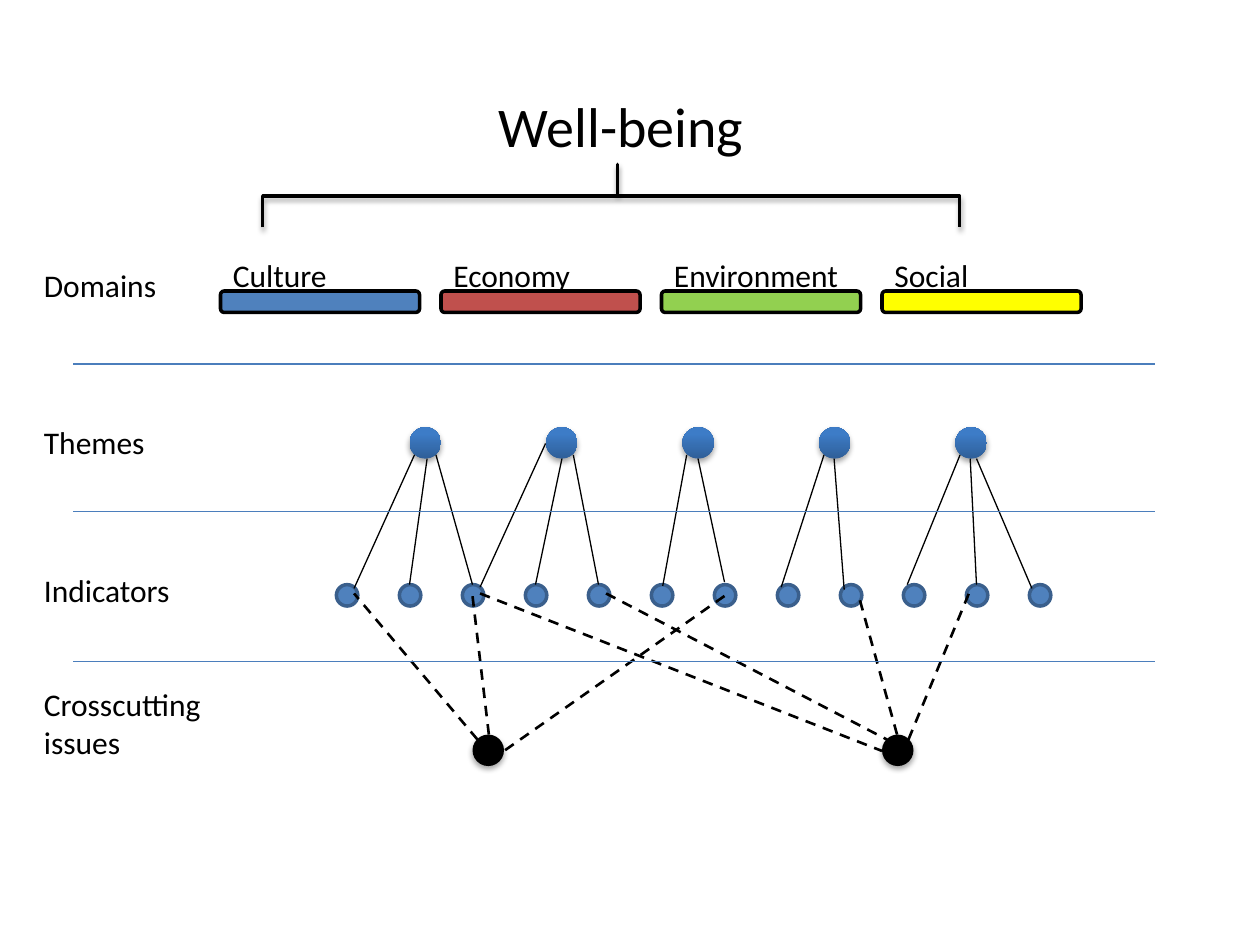
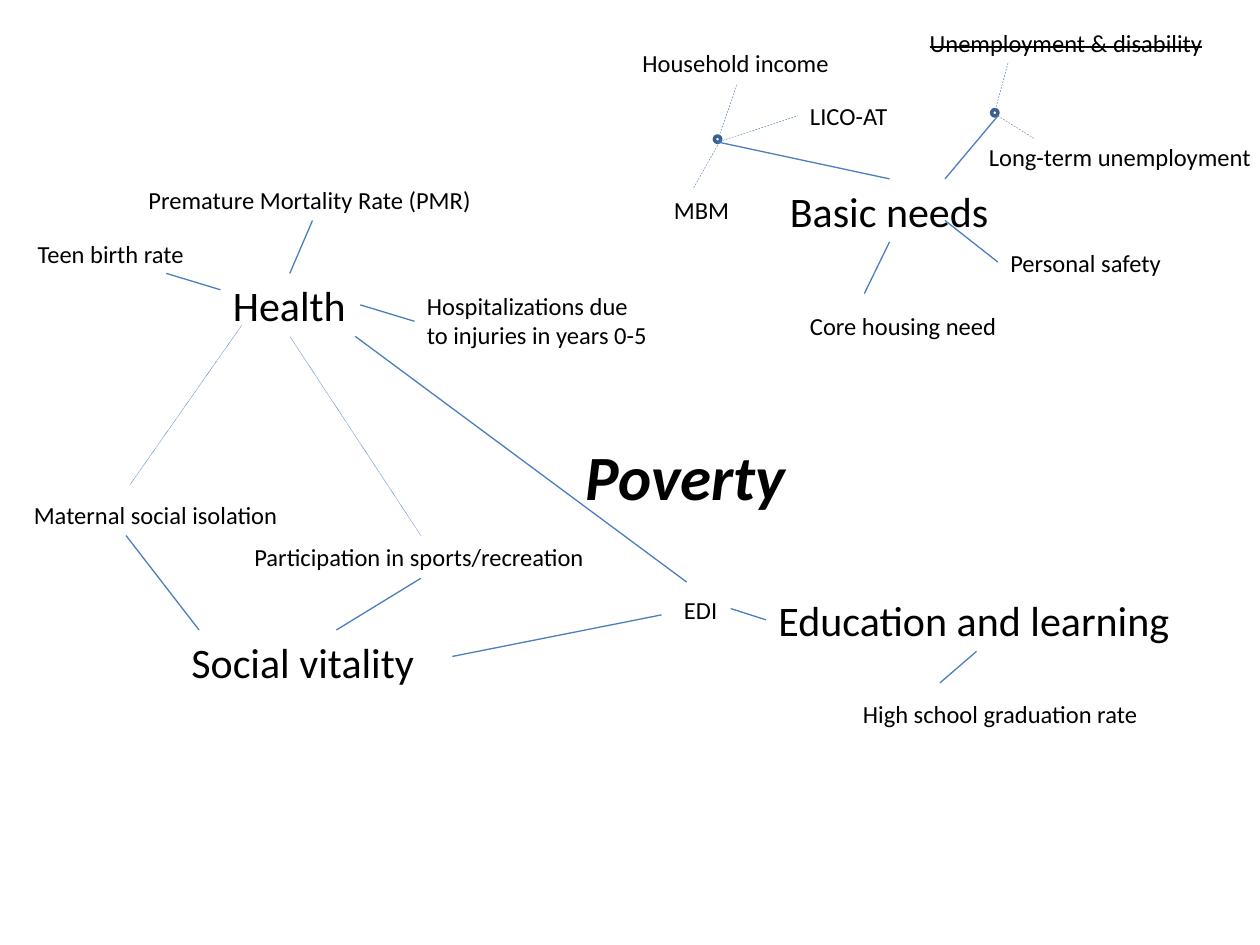
"""Build two slides: a well-being indicator framework and a poverty indicator map."""
from lxml import etree
from pptx import Presentation
from pptx import util as u
from pptx.dml import color
from pptx.enum import dml, shapes, text
from pptx.oxml import ns

BLACK = color.RGBColor(0x00, 0x00, 0x00)
BLUE = color.RGBColor(0x4F, 0x81, 0xBD)
RED = color.RGBColor(0xC0, 0x50, 0x4D)
GREEN = color.RGBColor(0x92, 0xD0, 0x50)
YELLOW = color.RGBColor(0xFF, 0xFF, 0x00)
LINK_BLUE = color.RGBColor(0x4B, 0x7E, 0xBC)
RIM_BLUE = color.RGBColor(0x3A, 0x5F, 0x8C)
DEEP_BLUE = color.RGBColor(0x2F, 0x5F, 0x99)
BRIGHT_BLUE = color.RGBColor(0x3D, 0x7C, 0xC7)
FONT = "Calibri"
GRID = 2.54
DASH = dml.MSO_LINE.DASH
DOT = dml.MSO_LINE.ROUND_DOT
OVAL = shapes.MSO_SHAPE.OVAL


def add_text(page, words, left, top, width, size):
    """Add an unwrapped text box, positioned in grid units, and return its frame."""
    height = 0.1 + len(words.split("\n")) * size * 1.22 / 72
    box = page.shapes.add_textbox(*[u.Cm(GRID * n) for n in (left, top, width, height)])
    frame = box.text_frame
    frame.text = words
    frame.word_wrap = False
    frame.auto_size = text.MSO_AUTO_SIZE.SHAPE_TO_FIT_TEXT
    for para in frame.paragraphs:
        para.font.name = FONT
        para.font.size = u.Pt(size)
        para.font.color.rgb = BLACK
    return frame


def add_line(page, ends, tint, weight=0.75, dash=None):
    """Add a straight line between two points in grid units."""
    line = page.shapes.add_connector(
        shapes.MSO_CONNECTOR.STRAIGHT, *[u.Cm(GRID * n) for n in ends])
    line.line.color.rgb = tint
    line.line.width = u.Pt(weight)
    if dash:
        line.line.dash_style = dash
    etree.SubElement(line._element.spPr, ns.qn("a:effectLst"))


deck = Presentation()
deck.slide_width, deck.slide_height = u.Cm(25.4), u.Cm(19.05)
framework = deck.slides.add_slide(deck.slide_layouts[6])
poverty = deck.slides.add_slide(deck.slide_layouts[6])

indicators = [(framework, 2.67 + 0.5 * i, 4.64, 0.17) for i in range(12)]
hubs = [(poverty, 5.67, 1.08, 0.05), (poverty, 7.87, 0.87, 0.05)]
for page, left, top, size in indicators + hubs:
    dot = page.shapes.add_shape(OVAL, *[u.Cm(GRID * n) for n in (left, top, size, size)])
    dot.shadow.inherit = False
    dot.line.color.rgb = RIM_BLUE
    dot.line.width = u.Pt(2)
    if page is framework:
        dot.fill.solid()
        dot.fill.fore_color.rgb = BLUE
    else:
        dot.fill.background()

raised = []
themes = [(3.25 + 1.083 * i, 3.39) for i in range(5)]
issues = [(3.75, 5.83), (7, 5.83)]
for left, top in themes + issues:
    ball = framework.shapes.add_shape(
        OVAL, *[u.Cm(GRID * n) for n in (left, top, 0.25, 0.25)])
    ball.line.fill.background()
    if (left, top) in themes:
        ball.fill.gradient()
        ball.fill.gradient_angle = 90
        for stop, tint, place in zip(
                ball.fill.gradient_stops, (DEEP_BLUE, BRIGHT_BLUE), (0, 0.8)):
            stop.color.rgb = tint
            stop.position = place
    else:
        ball.fill.solid()
        ball.fill.fore_color.rgb = BLACK
    raised.append(ball)

brace = framework.shapes.add_shape(
    shapes.MSO_SHAPE.LEFT_BRACE, *[u.Cm(GRID * n) for n in (4.6, -1.21, 0.5, 5.53)])
brace.rotation = 90
brace.adjustments[0] = 0
brace.adjustments[1] = 0.491
brace.fill.background()
brace.line.color.rgb = BLACK
brace.line.width = u.Pt(2)
raised.append(brace)

for shape in raised:
    shape.shadow.inherit = False
    effects = shape._element.spPr.find(ns.qn("a:effectLst"))
    shadow = etree.SubElement(effects, ns.qn("a:outerShdw"), blurRad="40000",
                              dist="23000", dir="5400000", rotWithShape="0")
    shade = etree.SubElement(shadow, ns.qn("a:srgbClr"), val="000000")
    etree.SubElement(shade, ns.qn("a:alpha"), val="35000")

for ends in [
    (2.81, 4.67, 3.29, 3.61), (3.25, 4.64, 3.39, 3.64), (3.75, 4.64, 3.46, 3.61),
    (3.81, 4.66, 4.33, 3.52), (4.25, 4.64, 4.46, 3.64), (4.75, 4.64, 4.55, 3.61),
    (5.26, 4.65, 5.45, 3.61), (5.75, 4.62, 5.54, 3.64),
    (6.2, 4.66, 6.54, 3.61), (6.7, 4.68, 6.62, 3.64),
    (7.2, 4.64, 7.62, 3.61), (7.75, 4.64, 7.7, 3.64), (8.19, 4.67, 7.75, 3.64),
]:
    add_line(framework, ends, BLACK)

for ends in [
    (3.88, 5.83, 3.75, 4.73), (3.79, 5.87, 2.81, 4.71), (5.75, 4.73, 4, 5.96),
    (3.81, 4.71, 7, 5.96), (7.21, 5.87, 7.69, 4.71), (7.12, 5.83, 6.81, 4.71),
    (4.81, 4.71, 7.04, 5.87),
]:
    add_line(framework, ends, BLACK, 1.5, DASH)

for height in (2.89, 4.06, 5.25):
    add_line(framework, (0.58, height, 9.17, height), LINK_BLUE)

for i, (name, width, tint) in enumerate([
    ("Culture", 0.96, BLUE), ("Economy", 1.14, RED),
    ("Environment", 1.52, GREEN), ("Social", 0.79, YELLOW),
]):
    left = 1.75 * (i + 1)
    bar = framework.shapes.add_shape(
        shapes.MSO_SHAPE.ROUNDED_RECTANGLE,
        *[u.Cm(GRID * n) for n in (left, 2.31, 1.58, 0.17)])
    bar.shadow.inherit = False
    bar.fill.solid()
    bar.fill.fore_color.rgb = tint
    bar.line.color.rgb = BLACK
    bar.line.width = u.Pt(2)
    add_text(framework, name, left, 1.98, width, 18)

for name, top, width in [
    ("Domains", 2.06, 1.1), ("Themes", 3.31, 1.01),
    ("Indicators", 4.48, 1.21), ("Crosscutting\nissues", 5.39, 1.46),
]:
    add_text(framework, name, 0.25, top, width, 18)

title = add_text(framework, "Well-being", 0.43, 0.68, 9, 32)
title.word_wrap = True
title.paragraphs[0].alignment = text.PP_ALIGN.CENTER

for ends in [
    (7.46, 5.42, 7.75, 5.17), (5.8, 4.83, 6.08, 4.92), (5.71, 1.13, 7.06, 1.42),
    (3.34, 4.59, 2.67, 5), (7.06, 1.92, 6.86, 2.33), (7.92, 0.92, 7.5, 1.42),
    (2.3, 2.17, 2.48, 1.75), (7.5, 1.75, 7.92, 2.08), (1, 4.25, 1.58, 5),
    (2.86, 2.42, 3.29, 2.55), (5.25, 4.88, 3.59, 5.21), (2.82, 2.67, 5.45, 4.62),
    (1.32, 2.17, 1.75, 2.3),
]:
    add_line(poverty, ends, LINK_BLUE)

for ends, dash in [
    ((5.72, 1.11, 5.5, 1.5), DASH), ((5.69, 1.13, 5.85, 0.67), DASH),
    ((5.69, 1.13, 6.33, 0.92), DASH), ((7.92, 0.92, 8.21, 1.1), DASH),
    ((8, 0.5, 7.9, 0.87), DASH), ((3.34, 4.25, 2.3, 2.67), DOT),
    ((1.03, 3.85, 1.92, 2.58), DOT),
]:
    add_line(poverty, ends, LINK_BLUE, 0.25, dash)

for name, left, top, width in [
    ("Basic needs", 6.17, 1.42, 1.79), ("Social vitality", 1.42, 5, 1.98),
    ("Education and learning", 6.08, 4.67, 3.34), ("Health", 1.75, 2.17, 1.11),
]:
    add_text(poverty, name, left, top, width, 24)

for name, left, top, width in [
    ("LICO-AT", 6.33, 0.75, 0.82),
    ("MBM", 5.25, 1.5, 0.65),
    ("EDI", 5.33, 4.67, 0.47),
    ("Premature Mortality Rate (PMR)", 1.08, 1.42, 2.79),
    ("Participation in sports/recreation", 1.92, 4.25, 2.85),
    ("Long-term unemployment", 7.75, 1.08, 2.3),
    ("Household income", 5, 0.33, 1.69),
    ("Core housing need", 6.33, 2.42, 1.69),
    ("Personal safety", 7.92, 1.92, 1.41),
    ("High school graduation rate", 6.75, 5.5, 2.4),
    ("Hospitalizations due\nto injuries in years 0-5", 3.29, 2.26, 1.96),
    ("Maternal social isolation", 0.17, 3.92, 2.16),
    ("Teen birth rate", 0.2, 1.85, 1.37),
]:
    add_text(poverty, name, left, top, width, 14)

dropped = add_text(poverty, "Unemployment & disability", 7.28, 0.17, 2.39, 14)
dropped.paragraphs[0].runs[0]._r.get_or_add_rPr().set("strike", "sngStrike")

topic = add_text(poverty, "Poverty", 4.55, 3.42, 1.8, 36).paragraphs[0]
topic.font.bold = True
topic.font.italic = True

deck.save("out.pptx")
